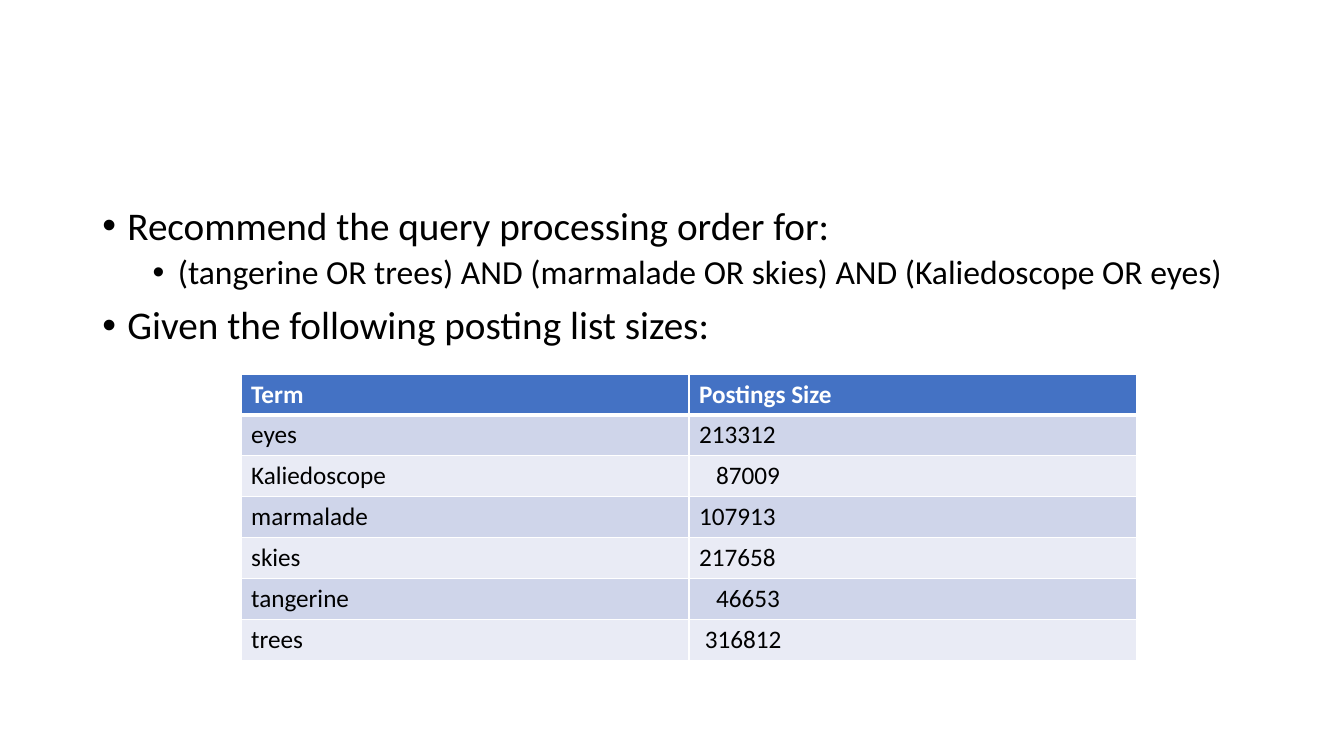
from collections import namedtuple
from dataclasses import dataclass

from pptx import Presentation
from pptx.dml.color import RGBColor
from pptx.oxml import parse_xml
from pptx.oxml import ns
from pptx.util import Pt

Box = namedtuple("Box", "left top width height")


@dataclass(frozen=True)
class Theme:
    """Colours, font and type sizes of the slide."""
    font: str = "Calibri"
    ink: str = "000000"
    paper: str = "FFFFFF"
    header: str = "4472C4"
    bands: tuple = ("CFD5EA", "E9EBF5")
    level_sizes: tuple = (28, 24)
    table_size: int = 18


THEME = Theme()

TASK = [
    (0, "Recommend the query processing order for:"),
    (1, "(tangerine OR trees) AND (marmalade OR skies) AND (Kaliedoscope OR eyes)"),
    (0, "Given the following posting list sizes:"),
]

POSTINGS = [
    ("Term", "Postings Size", 0),
    ("eyes", "213312", 0),
    ("Kaliedoscope", "87009", 12.2),
    ("marmalade", "107913", 0),
    ("skies", "217658", 0),
    ("tangerine", "46653", 12.2),
    ("trees", "316812", 4.07),
]


def style_text(paragraph, size, colour, bold=False):
    """Format every run of a paragraph."""
    for run in paragraph.runs:
        run.font.name = THEME.font
        run.font.size = Pt(size)
        run.font.bold = bold
        run.font.color.rgb = RGBColor.from_string(colour)


def add_bullet(paragraph, level):
    """Give a paragraph a hanging round bullet for its level."""
    properties = paragraph._p.get_or_add_pPr()
    properties.set("marL", str(Pt(18 + 36 * level)))
    properties.set("indent", str(Pt(-18)))
    for xml in ('<a:buFont {} typeface="Arial"/>', '<a:buChar {} char="•"/>'):
        properties.append(parse_xml(xml.format(ns.nsdecls("a"))))


def add_task(slide, box):
    """Place the bulleted task statement in the box."""
    frame = slide.shapes.add_textbox(*map(Pt, box)).text_frame
    frame.word_wrap = True
    frame.text = "\n".join(line for _, line in TASK)
    for paragraph, (level, _) in zip(frame.paragraphs, TASK):
        paragraph.level = level
        paragraph.line_spacing = 0.9
        paragraph.space_before = Pt(5 if level else 10)
        add_bullet(paragraph, level)
        style_text(paragraph, THEME.level_sizes[level], THEME.ink)


def add_borders(cell, bottom):
    """Draw the white rules around a cell."""
    properties = cell._tc.get_or_add_tcPr()
    for side, width in (("L", 1), ("R", 1), ("T", 1), ("B", bottom)):
        properties.append(parse_xml(
            f'<a:ln{side} {ns.nsdecls("a")} w="{Pt(width)}"><a:solidFill>'
            f'<a:srgbClr val="{THEME.paper}"/></a:solidFill></a:ln{side}>'))


def add_postings(slide, box):
    """Place the table of posting list sizes in the box."""
    table = slide.shapes.add_table(len(POSTINGS), 2, *map(Pt, box)).table
    for row, (term, size, inset) in enumerate(POSTINGS):
        table.rows[row].height = Pt(box.height / len(POSTINGS))
        is_header = row == 0
        fill = THEME.header if is_header else THEME.bands[(row - 1) % 2]
        ink = THEME.paper if is_header else THEME.ink
        for column, (value, indent) in enumerate(((term, 0), (size, inset))):
            cell = table.cell(row, column)
            cell.text_frame.text = value
            cell.margin_left = Pt(7.2 + indent)
            style_text(cell.text_frame.paragraphs[0], THEME.table_size, ink, is_header)
            add_borders(cell, 3 if row == 0 else 1)
            if row == 1:
                cell._tc.tcPr.find(ns.qn("a:lnT")).set("w", str(Pt(3)))
            cell.fill.solid()
            cell.fill.fore_color.rgb = RGBColor.from_string(fill)


def main():
    """Build the slide and save it."""
    deck = Presentation()
    deck.slide_width, deck.slide_height = Pt(960), Pt(540)
    slide = deck.slides.add_slide(deck.slide_layouts[6])
    add_task(slide, Box(66, 143.75, 828, 342.62))
    add_postings(slide, Box(172.2, 267.2, 640, 204.4))
    deck.save("out.pptx")


if __name__ == "__main__":
    main()
